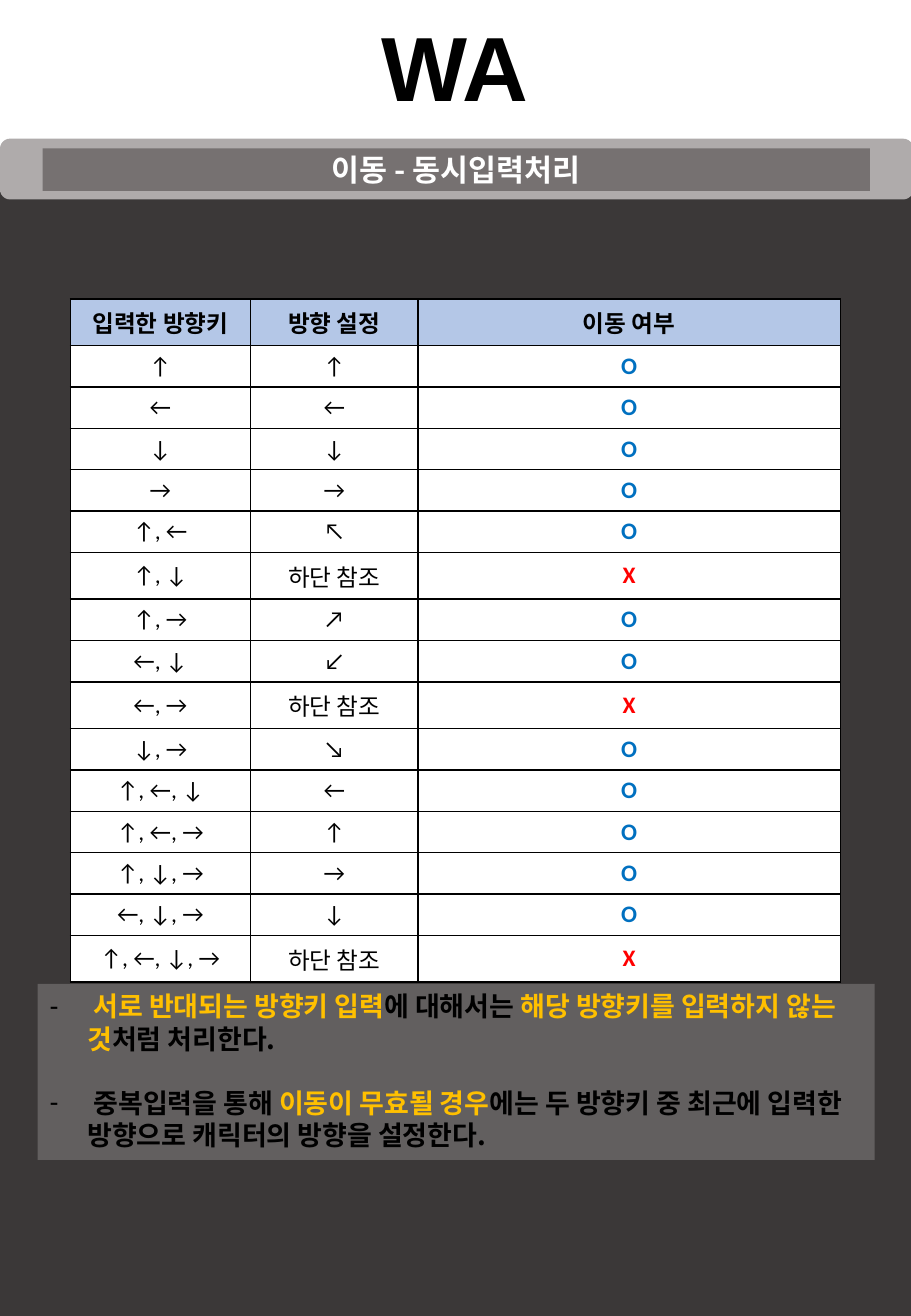
from dataclasses import dataclass
from itertools import combinations
from typing import Optional

from lxml.etree import SubElement
from pptx import Presentation
from pptx.dml.color import RGBColor
from pptx.enum.shapes import MSO_SHAPE
from pptx.enum.text import MSO_ANCHOR, MSO_AUTO_SIZE, PP_ALIGN
from pptx.oxml.ns import qn
from pptx.util import Cm, Pt

BLACK = RGBColor(0x00, 0x00, 0x00)
WHITE = RGBColor(0xFF, 0xFF, 0xFF)
DARK = RGBColor(0x3B, 0x38, 0x38)
SILVER = RGBColor(0xAF, 0xAB, 0xAB)
GREY = RGBColor(0x76, 0x71, 0x71)
SKY = RGBColor(0xB4, 0xC7, 0xE7)
BLUE = RGBColor(0x00, 0x70, 0xC0)
RED = RGBColor(0xFF, 0x00, 0x00)
GOLD = RGBColor(0xFF, 0xC0, 0x00)
NOTO = "Noto Sans CJK KR"


@dataclass
class Panel:
    kind: MSO_SHAPE
    left: float
    top: float
    width: float
    height: float
    fill: RGBColor
    alpha: Optional[int] = None  # percent


@dataclass
class Part:
    text: str
    color: RGBColor = BLACK


BACK = Panel(MSO_SHAPE.RECTANGLE, 0, 3.12, 19.1, 24.39, DARK)
NOTE = Panel(MSO_SHAPE.RECTANGLE, 0.79, 20.57, 17.5, 3.68, WHITE, 20)
BAR = Panel(MSO_SHAPE.ROUNDED_RECTANGLE, 0, 2.9, 19.1, 1.27, SILVER)

HEADS = ["입력한 방향키", "방향 설정", "이동 여부"]
WIDTHS = [3.77, 3.5, 8.83]
KEYS = "↑←↓→"
REFER = "하단 참조"
FACINGS = ["↑", "←", "↓", "→", "↖", REFER, "↗", "↙", REFER, "↘",
           "←", "↑", "→", "↓", REFER]
HIGH = 13.84  # table height

NOTES = [
    [Part(" "), Part("서로 반대되는 방향키 입력", GOLD), Part("에 대해서는 "),
     Part("해당 방향키를 입력하지 않는 것", GOLD), Part("처럼 처리한다.")],
    [Part(" 중복입력을 통해 "), Part("이동이 무효될 경우", GOLD),
     Part("에는 두 방향키 중 최근에 입력한 방향으로 캐릭터의 방향을 설정한다.")],
]


def write(para, text: str, *, size: float, color: RGBColor = BLACK,
          bold: bool = True, font: str = NOTO, align=None) -> None:
    run = para.add_run()
    run.text = text
    run.font.size = Pt(size)
    run.font.bold = bold
    run.font.name = font
    run.font.color.rgb = color
    SubElement(run.font._element, qn("a:ea")).set("typeface", NOTO)
    if align is not None:
        para.alignment = align


def draw(slide, panel: Panel):
    shape = slide.shapes.add_shape(
        panel.kind, Cm(panel.left), Cm(panel.top),
        Cm(panel.width), Cm(panel.height))
    shape.shadow.inherit = False
    shape.line.fill.background()
    shape.fill.solid()
    shape.fill.fore_color.rgb = panel.fill
    if panel.alpha is not None:
        tint = shape._element.spPr.find(".//" + qn("a:srgbClr"))
        SubElement(tint, qn("a:alpha")).set("val", str(panel.alpha * 1000))
    return shape


def frame(cell) -> None:
    props = cell._tc.get_or_add_tcPr()
    for side in ("lnL", "lnR", "lnT", "lnB"):
        line = SubElement(props, qn(f"a:{side}"), w=str(Pt(1)))
        fill = SubElement(line, qn("a:solidFill"))
        SubElement(fill, qn("a:srgbClr"), val=str(BLACK))


def fill_cell(cell, text: str, fill: RGBColor, color: RGBColor,
              bold: bool) -> None:
    frame(cell)
    cell.fill.solid()
    cell.fill.fore_color.rgb = fill
    cell.vertical_anchor = MSO_ANCHOR.MIDDLE
    write(cell.text_frame.paragraphs[0], text, size=14, color=color,
          bold=bold, font="Calibri", align=PP_ALIGN.CENTER)


def add_keys(slide) -> None:
    combos = [", ".join(keys) for count in range(1, len(KEYS) + 1)
              for keys in combinations(KEYS, count)]
    rows = len(combos) + 1
    table = slide.shapes.add_table(
        rows, len(HEADS), Cm(1.47), Cm(6.25), Cm(sum(WIDTHS)), Cm(HIGH)).table
    for col, width in zip(table.columns, WIDTHS):
        col.width = Cm(width)
    for row in table.rows:
        row.height = Cm(HIGH / rows)
    for col, head in enumerate(HEADS):
        fill_cell(table.cell(0, col), head, SKY, BLACK, True)
    for row, (combo, facing) in enumerate(zip(combos, FACINGS), 1):
        mark, color = ("X", RED) if facing == REFER else ("O", BLUE)
        fill_cell(table.cell(row, 0), combo, WHITE, BLACK, False)
        fill_cell(table.cell(row, 1), facing, WHITE, BLACK, False)
        fill_cell(table.cell(row, 2), mark, WHITE, color, True)


def add_notes(slide) -> None:
    body = draw(slide, NOTE).text_frame
    body.word_wrap = True
    body.vertical_anchor = MSO_ANCHOR.TOP
    for row, parts in enumerate(NOTES):
        para = body.add_paragraph() if row else body.paragraphs[0]
        para.alignment = PP_ALIGN.LEFT
        para.line_spacing = Pt(19.1)
        para.space_before = Pt(19.1 if row else 0)
        props = para._p.get_or_add_pPr()
        props.set("marL", str(Cm(0.79)))
        props.set("indent", str(Cm(-0.79)))
        SubElement(props, qn("a:buFont"), typeface="Arial")
        SubElement(props, qn("a:buChar"), char="-")
        for part in parts:
            write(para, part.text, size=16, color=part.color)


def add_title(slide) -> None:
    draw(slide, BAR)
    title = slide.shapes.title
    slide.shapes._spTree.append(title._element)  # bring above the bar
    title.left, title.top = Cm(0.89), Cm(3.1)
    title.width, title.height = Cm(17.3), Cm(0.89)
    shape = SubElement(title._element.spPr, qn("a:prstGeom"), prst="roundRect")
    SubElement(shape, qn("a:avLst"))
    title.fill.solid()
    title.fill.fore_color.rgb = GREY
    body = title.text_frame
    body.auto_size = MSO_AUTO_SIZE.NONE
    body.vertical_anchor = MSO_ANCHOR.MIDDLE
    write(body.paragraphs[0], "이동 - 동시입력처리", size=18, color=WHITE,
          align=PP_ALIGN.CENTER)


def add_name(slide) -> None:
    box = slide.shapes.add_textbox(Cm(7.65), Cm(0.1), Cm(3.73), Cm(2.57))
    box.text_frame.word_wrap = False
    write(box.text_frame.paragraphs[0], "WA", size=54, font="Arial",
          align=PP_ALIGN.CENTER)


def main() -> None:
    deck = Presentation()
    deck.slide_width, deck.slide_height = Cm(19.05), Cm(27.51)
    slide = deck.slides.add_slide(deck.slide_layouts[5])
    # Background, key table and rules
    draw(slide, BACK)
    add_keys(slide)
    add_notes(slide)
    # Header
    add_title(slide)
    add_name(slide)
    deck.save("out.pptx")


if __name__ == "__main__":
    main()
